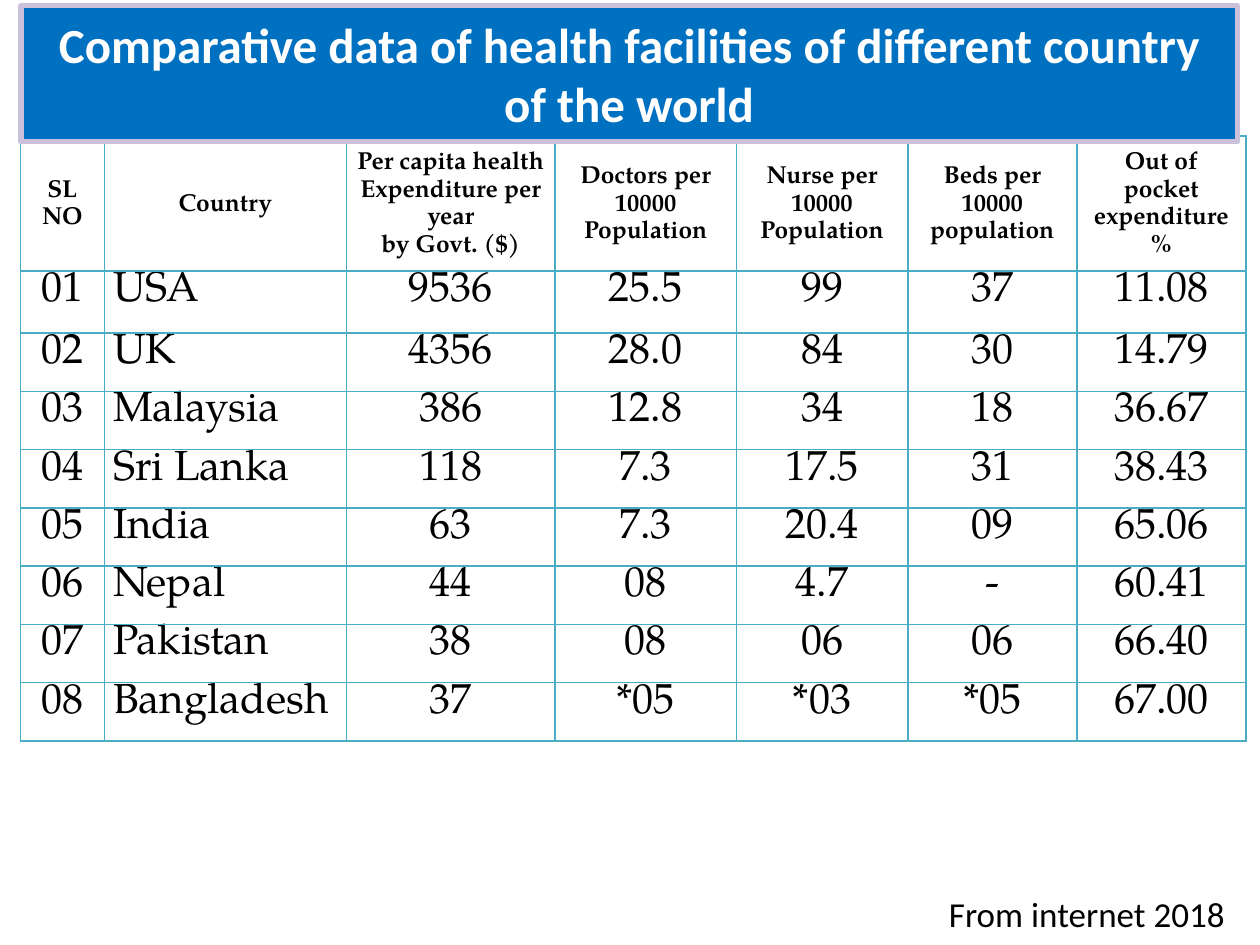
from lxml import etree
from pptx import Presentation
from pptx import util as u
from pptx.dml.color import RGBColor
from pptx.enum import shapes, text
from pptx.oxml.ns import qn

Pt = u.Pt

HEADINGS = [
    ["SL NO"],
    ["Country"],
    ["Per capita health", "Expenditure per year", "by Govt. ($)"],
    ["Doctors per 10000", "Population"],
    ["Nurse per 10000", "Population"],
    ["Beds per 10000 population"],
    ["Out of pocket expenditure %"],
]
COUNTRIES = [
    ("USA", "9536", "25.5", "99", "37", "11.08"),
    ("UK", "4356", "28.0", "84", "30", "14.79"),
    ("Malaysia", "386", "12.8", "34", "18", "36.67"),
    ("Sri Lanka", "118", "7.3", "17.5", "31", "38.43"),
    ("India", "63", "7.3", "20.4", "09", "65.06"),
    ("Nepal", "44", "08", "4.7", "-", "60.41"),
    ("Pakistan", "38", "08", "06", "06", "66.40"),
    ("Bangladesh", "37", "*05", "*03", "*05", "67.00"),
]
COLUMN_WIDTHS = [48, 138.4, 119.2, 103.6, 98, 96.6, 96.6]
ROW_HEIGHTS = [77, 35.6] + [33.3] * 7


def rgb(value):
    return RGBColor.from_string(value)


class HealthSlide:
    sans = "Calibri"
    serif = "TeX Gyre Pagella"
    ink = "000000"
    white = "FFFFFF"
    blue = "0070C0"
    lilac = "CCC1DA"
    grid = "4BACC6"

    def __init__(self, deck):
        self.slide = deck.slides.add_slide(deck.slide_layouts[5])

    def add_lines(self, frame, lines, size, font, color, align, bold=False, spacing=None):
        for index, line in enumerate(lines):
            paragraph = frame.add_paragraph() if index else frame.paragraphs[0]
            paragraph.alignment = align
            if spacing:
                paragraph.line_spacing = spacing
            run = paragraph.add_run()
            run.text = line
            run.font.size = Pt(size)
            run.font.name = font
            run.font.bold = bold
            run.font.color.rgb = rgb(color)

    def title(self, wording, left, top, width, height):
        banner = self.slide.shapes.title
        banner.left, banner.top = Pt(left), Pt(top)
        banner.width, banner.height = Pt(width), Pt(height)
        banner.fill.solid()
        banner.fill.fore_color.rgb = rgb(self.blue)
        banner.line.color.rgb = rgb(self.lilac)
        banner.line.width = Pt(3)
        frame = banner.text_frame
        frame.auto_size = text.MSO_AUTO_SIZE.NONE
        frame.vertical_anchor = text.MSO_ANCHOR.MIDDLE
        self.add_lines(frame, [wording], 28, self.sans, self.white,
                       text.PP_ALIGN.CENTER, bold=True)
        # The banner overlaps the table's top edge, so it goes to the front.
        self.slide.shapes._spTree.append(banner._element)

    def border(self, cell):
        properties = cell._tc.get_or_add_tcPr()
        for position, side in enumerate(("a:lnL", "a:lnR", "a:lnT", "a:lnB")):
            edge = etree.Element(qn(side), w=str(Pt(1)))
            fill = etree.SubElement(edge, qn("a:solidFill"))
            etree.SubElement(fill, qn("a:srgbClr"), val=self.grid)
            properties.insert(position, edge)

    def cell(self, cell, lines, heading, align):
        cell.fill.background()
        cell.margin_left = cell.margin_right = Pt(5)
        cell.margin_top = cell.margin_bottom = 0
        cell.vertical_anchor = (text.MSO_ANCHOR.MIDDLE if heading
                                else text.MSO_ANCHOR.TOP)
        self.add_lines(cell.text_frame, lines, 14 if heading else 24, self.serif,
                       self.ink, align, heading, 1.15 if heading else None)
        self.border(cell)

    def table(self, rows, left, top):
        table = self.slide.shapes.add_table(
            len(rows), len(COLUMN_WIDTHS), Pt(left), Pt(top),
            Pt(sum(COLUMN_WIDTHS)), Pt(sum(ROW_HEIGHTS))).table
        table.first_row = table.horz_banding = False
        for column, width in zip(table.columns, COLUMN_WIDTHS):
            column.width = Pt(width)
        for row, height in zip(table.rows, ROW_HEIGHTS):
            row.height = Pt(height)
        for r, row in enumerate(rows):
            for c, lines in enumerate(row):
                is_country = r > 0 and c == 1
                align = (text.PP_ALIGN.JUSTIFY if is_country
                         else text.PP_ALIGN.CENTER)
                self.cell(table.cell(r, c), lines, r == 0, align)

    def source_note(self, wording, left, top, width, height):
        note = self.slide.shapes.add_shape(
            shapes.MSO_SHAPE.RECTANGLE, Pt(left), Pt(top), Pt(width), Pt(height))
        note.shadow.inherit = False
        note.fill.solid()
        note.fill.fore_color.rgb = rgb(self.white)
        note.line.fill.background()
        frame = note.text_frame
        frame.word_wrap = True
        frame.vertical_anchor = text.MSO_ANCHOR.MIDDLE
        frame.auto_size = text.MSO_AUTO_SIZE.SHAPE_TO_FIT_TEXT
        self.add_lines(frame, [wording], 20, self.sans, self.ink, text.PP_ALIGN.RIGHT)


def main():
    deck = Presentation()
    deck.slide_width, deck.slide_height = Pt(720), Pt(540)
    page = HealthSlide(deck)
    records = [[[value] for value in (f"{number:02}", *country)]
               for number, country in enumerate(COUNTRIES, 1)]
    page.table([HEADINGS] + records, 11.6, 77.8)
    page.source_note("From internet 2018", 516, 506, 191, 32)
    page.title("Comparative data of health facilities of different country of the world",
               12, 3, 695, 78)
    deck.save("out.pptx")


if __name__ == "__main__":
    main()
